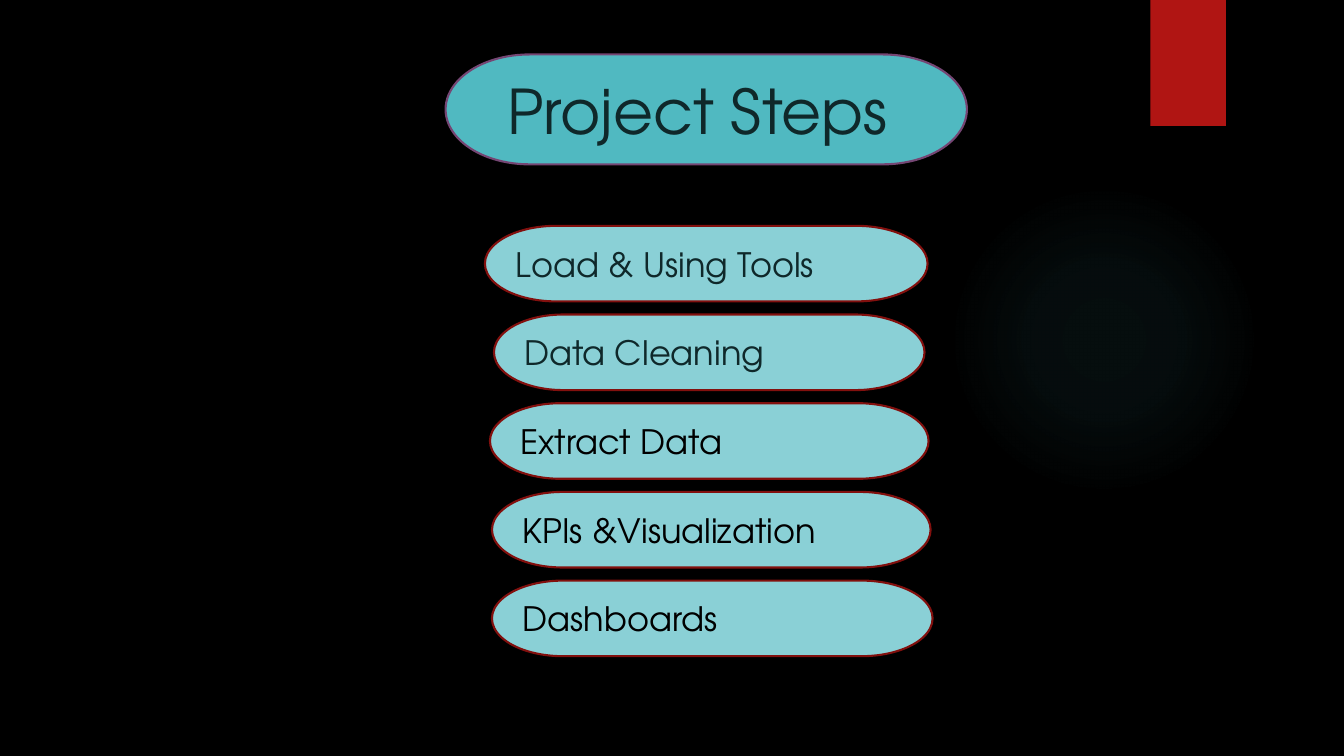
from dataclasses import dataclass

from pptx import Presentation
from pptx.dml.color import RGBColor
from pptx.enum.shapes import MSO_SHAPE
from pptx.enum.text import MSO_ANCHOR, PP_ALIGN
from pptx.oxml import parse_xml
from pptx.oxml.ns import nsdecls
from pptx.util import Inches, Pt

PILL = MSO_SHAPE.FLOWCHART_TERMINATOR
OVAL = MSO_SHAPE.OVAL
RECTANGLE = MSO_SHAPE.RECTANGLE
MIDDLE = MSO_ANCHOR.MIDDLE
LEFT, CENTER = PP_ALIGN.LEFT, PP_ALIGN.CENTER


@dataclass(frozen=True)
class Theme:
    font: str = "TeX Gyre Adventor"
    background: str = "000000"
    ribbon: str = "B01513"
    title_fill: str = "50B9C1"
    title_line: str = "754673"
    step_fill: str = "8AD0D6"
    step_line: str = "82100E"
    dark_teal: str = "0F282A"
    black: str = "000000"
    title_size: int = 44
    step_size: int = 24
    outline: float = 1.5


THEME = Theme()

# Label, text colour, left edge and width of each step
STEPS = [
    ("Load & Using Tools", THEME.dark_teal, 4.81, 4.39),
    ("Data Cleaning", THEME.dark_teal, 4.9, 4.27),
    ("Extract Data", THEME.black, 4.86, 4.35),
    ("KPIs &Visualization", THEME.black, 4.88, 4.35),
    ("Dashboards", THEME.black, 4.88, 4.37),
]
STEP_HEIGHT = 0.75

# Position and opacity of the glow's stops, in percent
GLOW_STOPS = [(0, 7), (36, 6), (69, 0)]


def rgb(color):
    return RGBColor.from_string(color)


def add_plain(slide, kind, box, fill):
    shape = slide.shapes.add_shape(kind, *(Inches(length) for length in box))
    shape.shadow.inherit = False
    shape.fill.solid()
    shape.fill.fore_color.rgb = rgb(fill)
    shape.line.fill.background()
    return shape


def add_pill(slide, box, label, fill, line, color, size, align):
    pill = add_plain(slide, PILL, box, fill)
    pill.line.color.rgb = rgb(line)
    pill.line.width = Pt(THEME.outline)
    frame = pill.text_frame
    frame.word_wrap = True
    frame.vertical_anchor = MIDDLE
    frame.text = label
    paragraph = frame.paragraphs[0]
    paragraph.alignment = align
    font = paragraph.runs[0].font
    font.name = THEME.font
    font.size = Pt(size)
    font.color.rgb = rgb(color)


def add_glow(slide, box):
    glow = add_plain(slide, OVAL, box, THEME.title_fill)
    stops = "".join(
        f'<a:gs pos="{position * 1000}"><a:srgbClr val="{THEME.title_fill}">'
        f'<a:alpha val="{opacity * 1000}"/></a:srgbClr></a:gs>'
        for position, opacity in GLOW_STOPS
    )
    gradient = parse_xml(
        f'<a:gradFill {nsdecls("a")}><a:gsLst>{stops}</a:gsLst>'
        '<a:path path="circle"><a:fillToRect l="50000" t="50000" '
        'r="50000" b="50000"/></a:path></a:gradFill>'
    )
    properties = glow.element.spPr
    solid = properties.find("{*}solidFill")
    properties.replace(solid, gradient)


def add_backdrop(slide):
    slide.background.fill.solid()
    slide.background.fill.fore_color.rgb = rgb(THEME.background)
    add_glow(slide, (9.41, 1.83, 3.08, 3.08))
    add_plain(slide, RECTANGLE, (11.41, 0, 0.75, 1.25), THEME.ribbon)


def add_title(slide, box):
    add_pill(slide, box, "Project Steps ", THEME.title_fill, THEME.title_line,
             THEME.dark_teal, THEME.title_size, CENTER)


def add_steps(slide, top, height):
    pitch = (height - STEP_HEIGHT) / (len(STEPS) - 1)
    for index, (label, color, left, width) in enumerate(STEPS):
        box = (left, top + index * pitch, width, STEP_HEIGHT)
        add_pill(slide, box, label, THEME.step_fill, THEME.step_line,
                 color, THEME.step_size, LEFT)


def main():
    deck = Presentation()
    deck.slide_width, deck.slide_height = Inches(13.33), Inches(7.5)
    slide = deck.slides.add_slide(deck.slide_layouts[6])
    add_backdrop(slide)
    add_title(slide, (4.42, 0.54, 5.17, 1.09))
    add_steps(slide, top=2.24, height=4.27)
    deck.save("out.pptx")


if __name__ == "__main__":
    main()
